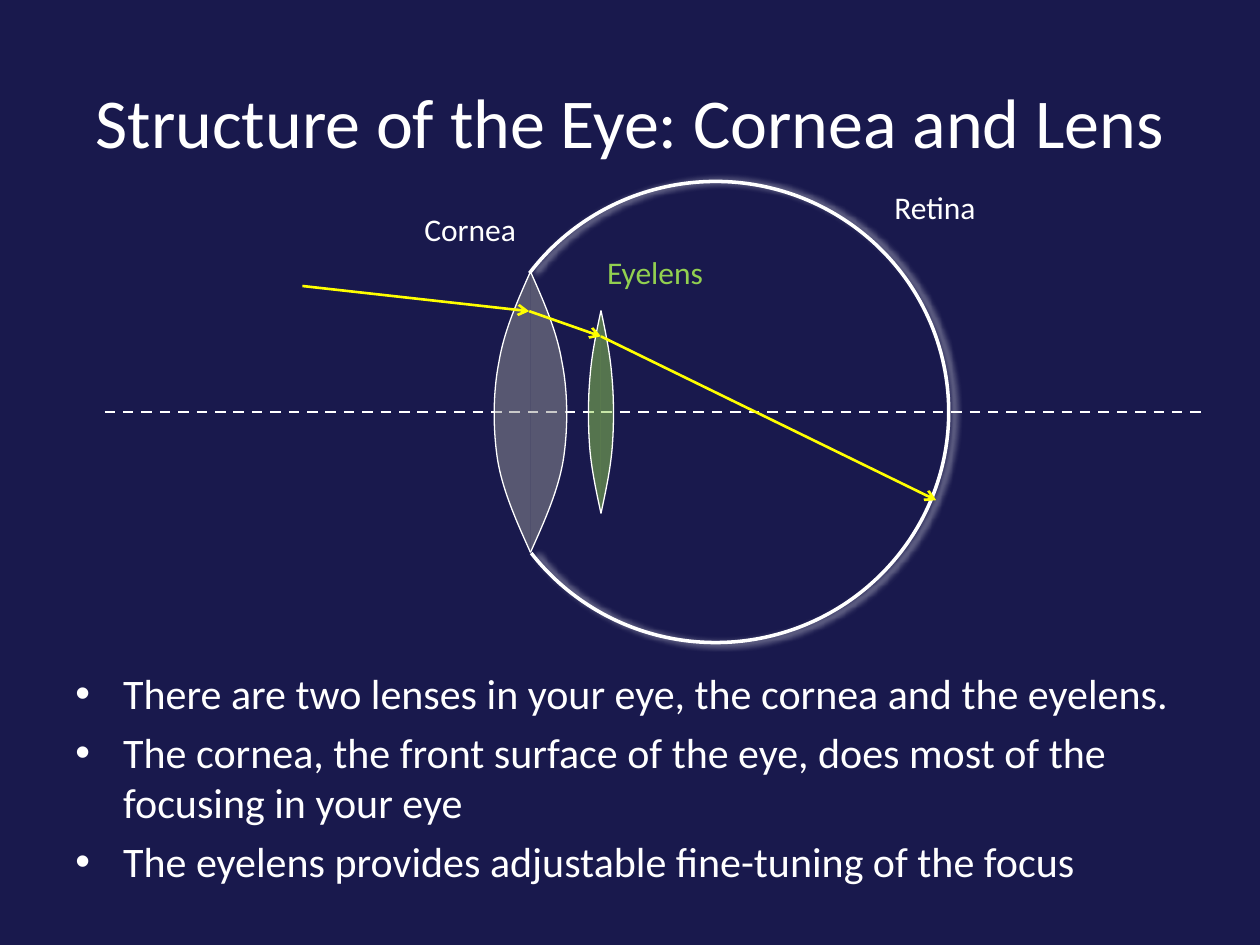
from dataclasses import dataclass
from itertools import pairwise

from lxml.etree import SubElement
from pptx import Presentation
from pptx.dml.color import RGBColor
from pptx.enum.dml import MSO_LINE
from pptx.enum.shapes import MSO_CONNECTOR, MSO_SHAPE
from pptx.enum.text import MSO_ANCHOR, PP_ALIGN
from pptx.oxml.ns import qn
from pptx.util import Inches, Pt


@dataclass(frozen=True)
class Theme:
    """Colours, font and type sizes of the slide."""
    night: str = "19194D"
    white: str = "FFFFFF"
    cornea: str = "969696"
    eyelens: str = "92D050"
    ray: str = "FFFF00"
    font: str = "Calibri"
    title: int = 40
    body: int = 24
    label: int = 18


@dataclass(frozen=True)
class Box:
    """An area on a grid of 100 columns by 75 rows."""
    col: float
    row: float
    cols: float
    rows: float

    def inner(self, col, row, cols, rows):
        """Return an area placed relative to this one."""
        return Box(self.col + col, self.row + row, cols, rows)

    def point(self, col, row):
        """Return the slide position of a grid point in this area."""
        return cell(self.col + col), cell(self.row + row)

    def frame(self):
        """Return left, top, width and height as slide lengths."""
        return tuple(map(cell, (self.col, self.row, self.cols, self.rows)))


THEME = Theme()
SLIDE = Box(0, 0, 100, 75)
BULLETS = (
    "There are two lenses in your eye, the cornea and the eyelens.",
    "The cornea, the front surface of the eye, does most of the focusing in your eye",
    "The eyelens provides adjustable fine-tuning of the focus",
)
LENS_PROFILE = (
    (0, 0), (0.34, 0.1), (0.72, 0.21), (0.86, 0.32), (1.03, 0.43),
    (1.03, 0.56), (0.9, 0.67), (0.76, 0.78), (0.38, 0.89), (0, 1),
)


def cell(count):
    """Convert grid cells to a slide length."""
    return Inches(count / 10)


def rgb(colour):
    """Convert a hex string to a colour."""
    return RGBColor.from_string(colour)


def add_effect(shape, **shadow):
    """Clear the theme effects and optionally cast a white shadow."""
    effects = SubElement(shape._element.spPr, qn("a:effectLst"))
    if shadow:
        outer = SubElement(effects, qn("a:outerShdw"), **shadow)
        tone = SubElement(outer, qn("a:srgbClr"), val=THEME.white)
        SubElement(tone, qn("a:alpha"), val="66000")


def set_line(line, colour, width):
    """Format a line."""
    line.color.rgb = rgb(colour)
    line.width = Pt(width)


def write(frame, *lines, size, colour=THEME.white, align=PP_ALIGN.LEFT,
          wrap=True, anchor=MSO_ANCHOR.TOP, bullet=None):
    """Write formatted paragraphs into a text frame."""
    frame.word_wrap = wrap
    frame.vertical_anchor = anchor
    for index, text in enumerate(lines):
        paragraph = frame.add_paragraph() if index else frame.paragraphs[0]
        paragraph.text = text
        paragraph.alignment = align
        if bullet:
            props = paragraph._p.get_or_add_pPr()
            props.set("marL", str(Inches(0.38)))
            props.set("indent", str(-Inches(0.38)))
            SubElement(props, qn("a:buFont"), typeface="Arial")
            SubElement(props, qn("a:buChar"), char=bullet)
            if index:
                paragraph.space_before = Pt(size * 0.2)
        font = paragraph.font
        font.name, font.size, font.color.rgb = THEME.font, Pt(size), rgb(colour)


def add_line(shapes, start, end, colour, dash=None, arrow=False):
    """Draw a straight line, dashed or with an arrowhead."""
    connector = shapes.add_connector(MSO_CONNECTOR.STRAIGHT, *start, *end)
    set_line(connector.line, colour, 1.5)
    if dash:
        connector.line.dash_style = dash
    if arrow:
        SubElement(connector.line._get_or_add_ln(), qn("a:tailEnd"), type="arrow")
    add_effect(connector)


def curve_segments(shape):
    """Turn each three straight segments of an outline into one Bézier curve."""
    outline = next(shape._element.iter(qn("a:path")))
    steps = outline.findall(qn("a:lnTo"))
    for first in range(0, len(steps), 3):
        curve = SubElement(outline, qn("a:cubicBezTo"))
        for step in steps[first:first + 3]:
            curve.append(step[0])
            outline.remove(step)


def add_lens(shapes, box, colour):
    """Draw a lens as two mirrored translucent halves."""
    group = shapes.add_group_shape()
    for side in (1, -1):
        start, *rest = [
            box.point(box.cols / 2 * (1 + side * x), box.rows * y)
            for x, y in LENS_PROFILE
        ]
        builder = group.shapes.build_freeform(*start)
        builder.add_line_segments(rest, close=False)
        half = builder.convert_to_shape()
        curve_segments(half)
        half.fill.solid()
        half.fill.fore_color.rgb = rgb(colour)
        tone = next(half._element.spPr.iter(qn("a:srgbClr")))
        SubElement(tone, qn("a:alpha"), val="50000")
        set_line(half.line, THEME.white, 0.75)
        add_effect(half)


def add_eyeball(shapes, box):
    """Draw the glowing outline of the eye, open at the cornea."""
    eyeball = shapes.add_shape(MSO_SHAPE.ARC, *box.frame())
    eyeball.adjustments[0], eyeball.adjustments[1] = 130.035, 85.552
    eyeball.fill.background()
    set_line(eyeball.line, THEME.white, 2)
    add_effect(eyeball, blurRad=str(Pt(4)), dist=str(Pt(3)), dir="0",
               algn="l", rotWithShape="0")


def add_diagram(shapes, box):
    """Draw the eye, its lenses, its labels and a ray of light."""
    middle = box.rows / 2
    add_line(shapes, box.point(0, middle), box.point(box.cols, middle),
             THEME.white, dash=MSO_LINE.DASH)
    for centre, width, height, colour in (
        (33.8, 5.8, 22.3, THEME.cornea), (39.4, 2, 16.1, THEME.eyelens),
    ):
        lens = box.inner(centre - width / 2, middle - height / 2, width, height)
        add_lens(shapes, lens, colour)
    add_eyeball(shapes, box.inner(30, 0, 37, box.rows))
    for name, col, row, cols, colour in (
        ("Cornea", 24.4, 1.8, 9.4, THEME.white),
        ("Eyelens", 38.9, 5.2, 9.7, THEME.eyelens),
        ("Retina", 61.7, 0, 8.6, THEME.white),
    ):
        label = shapes.add_textbox(*box.inner(col, row, cols, 4).frame())
        write(label.text_frame, name, size=THEME.label, colour=colour, wrap=False)
    ray = ((15.7, 8.3), (33.7, 10.3), (39.4, 12.3), (66, 25.3))
    for start, end in pairwise(ray):
        add_line(shapes, box.point(*start), box.point(*end), THEME.ray, arrow=True)


def add_title(title, box):
    """Place and fill the slide title."""
    title.left, title.top, title.width, title.height = box.frame()
    write(title.text_frame, "Structure of the Eye: Cornea and Lens",
          size=THEME.title, align=PP_ALIGN.CENTER, anchor=MSO_ANCHOR.MIDDLE)


def add_bullets(shapes, box):
    """Write the bulleted explanation."""
    body = shapes.add_textbox(*box.frame())
    write(body.text_frame, *BULLETS, size=THEME.body, bullet="•")


def main():
    """Build and save the slide."""
    deck = Presentation()
    deck.slide_width, deck.slide_height = cell(SLIDE.cols), cell(SLIDE.rows)
    slide = deck.slides.add_slide(deck.slide_layouts[5])
    slide.background.fill.solid()
    slide.background.fill.fore_color.rgb = rgb(THEME.night)
    add_title(slide.shapes.title, SLIDE.inner(5, 3.3, 90, 12.5))
    add_diagram(slide.shapes, SLIDE.inner(8.3, 14.4, 87.5, 36.6))
    add_bullets(slide.shapes, SLIDE.inner(5, 52.5, 95, 22.5))
    deck.save("out.pptx")


if __name__ == "__main__":
    main()
